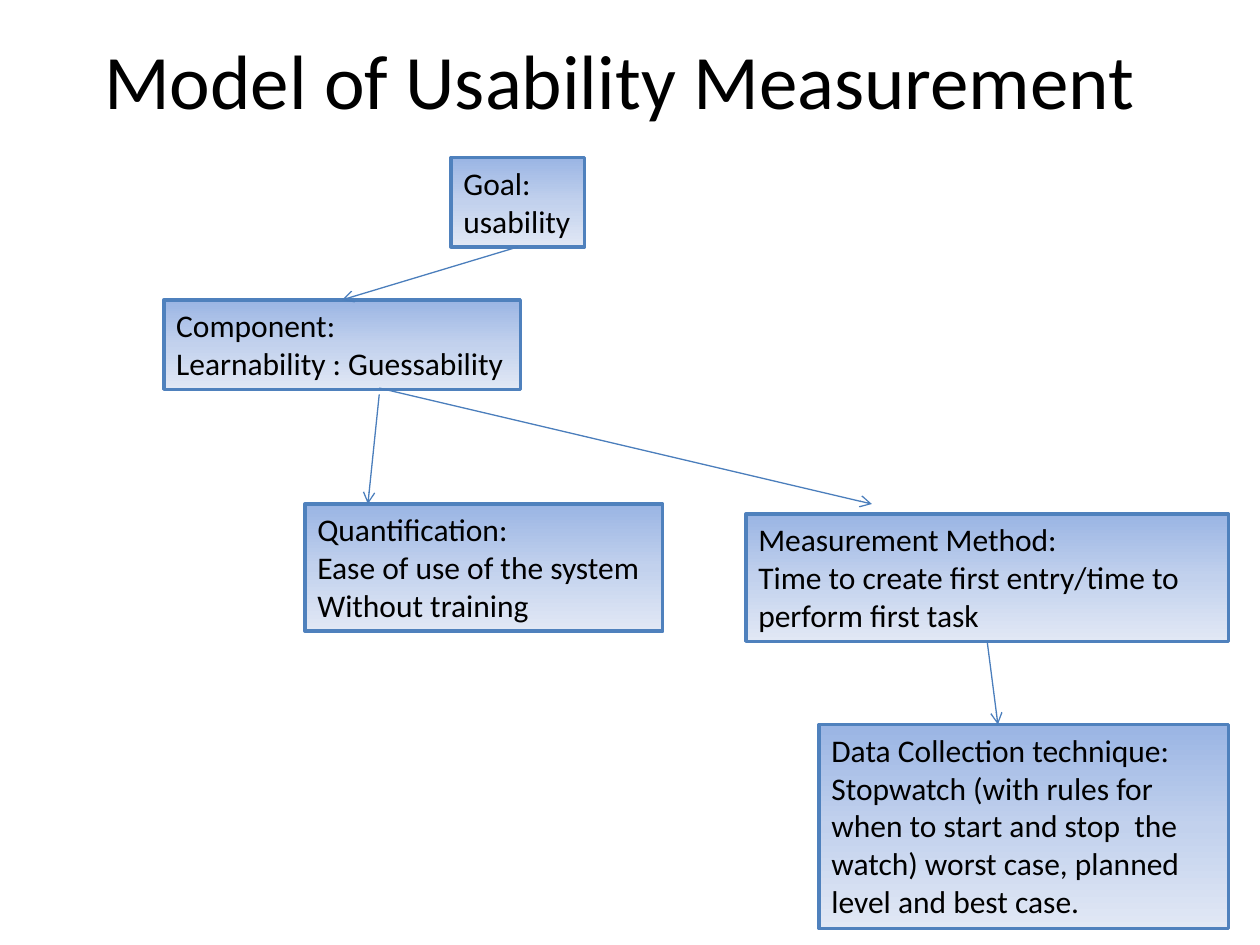
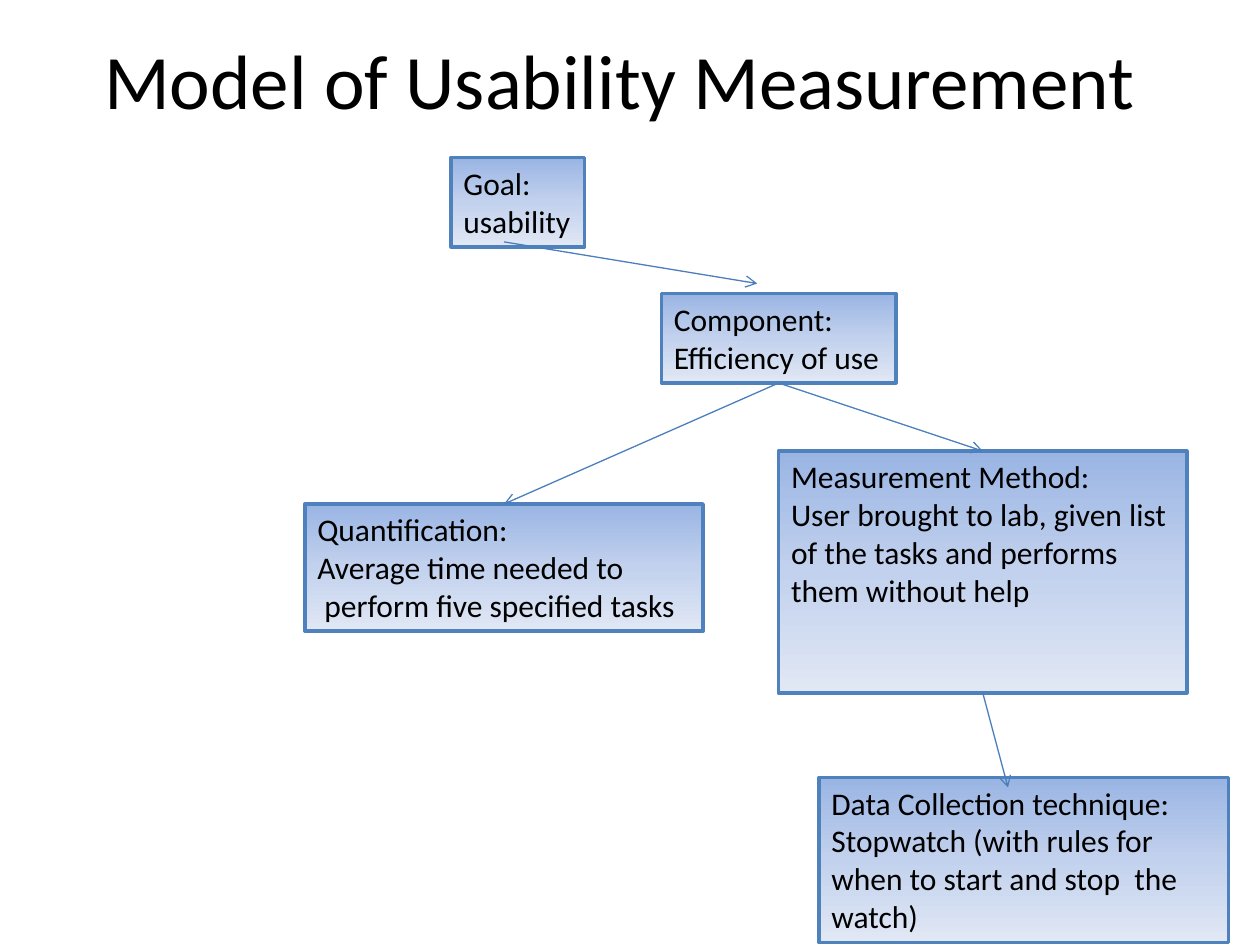
"""Build two usability measurement diagrams."""
from copy import deepcopy

from lxml.etree import SubElement
from pptx import Presentation
from pptx.dml.color import RGBColor
from pptx.enum.shapes import MSO_CONNECTOR, MSO_SHAPE
from pptx.enum.text import MSO_ANCHOR, PP_ALIGN
from pptx.oxml.ns import qn
from pptx.util import Inches, Pt

FONT = "Calibri"
BLACK = RGBColor(0x00, 0x00, 0x00)
BORDER = RGBColor(0x4F, 0x81, 0xBD)
ARROW = RGBColor(0x4B, 0x7E, 0xBC)
GRADIENT = (
    (0, RGBColor(0x9A, 0xB5, 0xE4)),
    (0.5, RGBColor(0xC2, 0xD1, 0xED)),
    (1, RGBColor(0xE1, 0xE8, 0xF5)),
)
TITLE = "Model of Usability Measurement"
TOP, BOTTOM = 0, 2


def style_paragraph(p, size, align):
    """Set the font and alignment of a paragraph."""
    p.alignment = align
    p.font.name = FONT
    p.font.size = Pt(size)
    p.font.color.rgb = BLACK


def add_slide(prs):
    """Add a slide with the shared title."""
    s = prs.slides.add_slide(prs.slide_layouts[5])
    title = s.shapes.title
    title.left, title.top = Inches(0.42), Inches(0)
    title.width, title.height = Inches(9), Inches(1.25)
    tf = title.text_frame
    tf.text = TITLE
    tf.vertical_anchor = MSO_ANCHOR.MIDDLE
    style_paragraph(tf.paragraphs[0], 44, PP_ALIGN.CENTER)
    return s


def fill_gradient(sp):
    """Fill a shape with the vertical three-stop gradient."""
    sp.fill.gradient()
    sp.fill.gradient_angle = 270
    stop_list = sp._element.spPr.find(qn("a:gradFill")).find(qn("a:gsLst"))
    stop_list.append(deepcopy(stop_list[0]))
    for stop, (position, color) in zip(sp.fill.gradient_stops, GRADIENT):
        stop.position = position
        stop.color.rgb = color


def add_box(s, left, top, width, height, lines, wrap=False):
    """Add a gradient box with one paragraph per line."""
    sp = s.shapes.add_shape(MSO_SHAPE.RECTANGLE, Inches(left), Inches(top),
                            Inches(width), Inches(height))
    sp.shadow.inherit = False
    fill_gradient(sp)
    sp.line.color.rgb = BORDER
    sp.line.width = Pt(2)
    tf = sp.text_frame
    tf.word_wrap = wrap
    tf.vertical_anchor = MSO_ANCHOR.TOP
    tf.text = "\n".join(lines)
    for p in tf.paragraphs:
        style_paragraph(p, 18, PP_ALIGN.LEFT)
    return sp


def add_goal(s):
    """Add the goal box that heads each diagram."""
    return add_box(s, 3.58, 1.25, 1.06, 0.71, ["Goal:", "usability"])


def add_technique(s, top, height, text):
    """Add the data collection box that closes each diagram."""
    add_box(s, 6.5, top, 3.25, height,
            ["Data Collection technique:", text], wrap=True)


def add_arrow(s, start, end):
    """Draw an arrow between boxes (bottom to top) or (x, y) points."""
    points = [tuple(map(Inches, e)) if isinstance(e, tuple) else (0, 0)
              for e in (start, end)]
    cxn = s.shapes.add_connector(MSO_CONNECTOR.STRAIGHT,
                                 *points[0], *points[1])
    if not isinstance(start, tuple):
        cxn.begin_connect(start, BOTTOM)
    if not isinstance(end, tuple):
        cxn.end_connect(end, TOP)
    cxn.line.color.rgb = ARROW
    cxn.line.width = Pt(0.75)
    SubElement(cxn.line._get_or_add_ln(), qn("a:tailEnd"), type="arrow")
    SubElement(cxn._element.spPr, qn("a:effectLst"))


def build_learnability(prs):
    """Build the learnability diagram."""
    s = add_slide(prs)
    goal = add_goal(s)
    component = add_box(s, 1.3, 2.38, 2.83, 0.71,
                        ["Component:", "Learnability : Guessability"])
    add_box(s, 2.42, 4, 2.84, 1.01,
            ["Quantification:", "Ease of use of the system",
             "Without training"])
    method = add_box(s, 5.92, 4.08, 3.83, 1.01,
                     ["Measurement Method:",
                      "Time to create first entry/time to perform first task"],
                     wrap=True)
    add_technique(s, 5.75, 1.62,
                  "Stopwatch (with rules for when to start and stop  the "
                  "watch) worst case, planned level and best case.")
    add_arrow(s, goal, component)
    add_arrow(s, (3.01, 3.13), (2.92, 4))
    add_arrow(s, (3.01, 3.08), (6.92, 4))
    add_arrow(s, method, (7.92, 5.75))


def build_efficiency(prs):
    """Build the efficiency of use diagram."""
    s = add_slide(prs)
    add_goal(s)
    component = add_box(s, 5.25, 2.33, 1.86, 0.71,
                        ["Component:", "Efficiency of use"])
    quantification = add_box(s, 2.42, 4, 3.16, 1.01,
                             ["Quantification:", "Average time needed to",
                              " perform five specified tasks"])
    method = add_box(s, 6.18, 3.58, 3.24, 1.92,
                     ["Measurement Method:",
                      "User brought to lab, given list of the tasks and "
                      "performs  them without help"], wrap=True)
    add_technique(s, 6.17, 1.31,
                  "Stopwatch (with rules for when to start and stop  the "
                  "watch)")
    add_arrow(s, (4, 1.92), (6.01, 2.25))
    add_arrow(s, component, quantification)
    add_arrow(s, component, method)
    add_arrow(s, method, (8, 6.25))


def main():
    """Build and save the presentation."""
    prs = Presentation()
    prs.slide_width, prs.slide_height = Inches(10), Inches(7.5)
    build_learnability(prs)
    build_efficiency(prs)
    prs.save("out.pptx")


if __name__ == "__main__":
    main()
